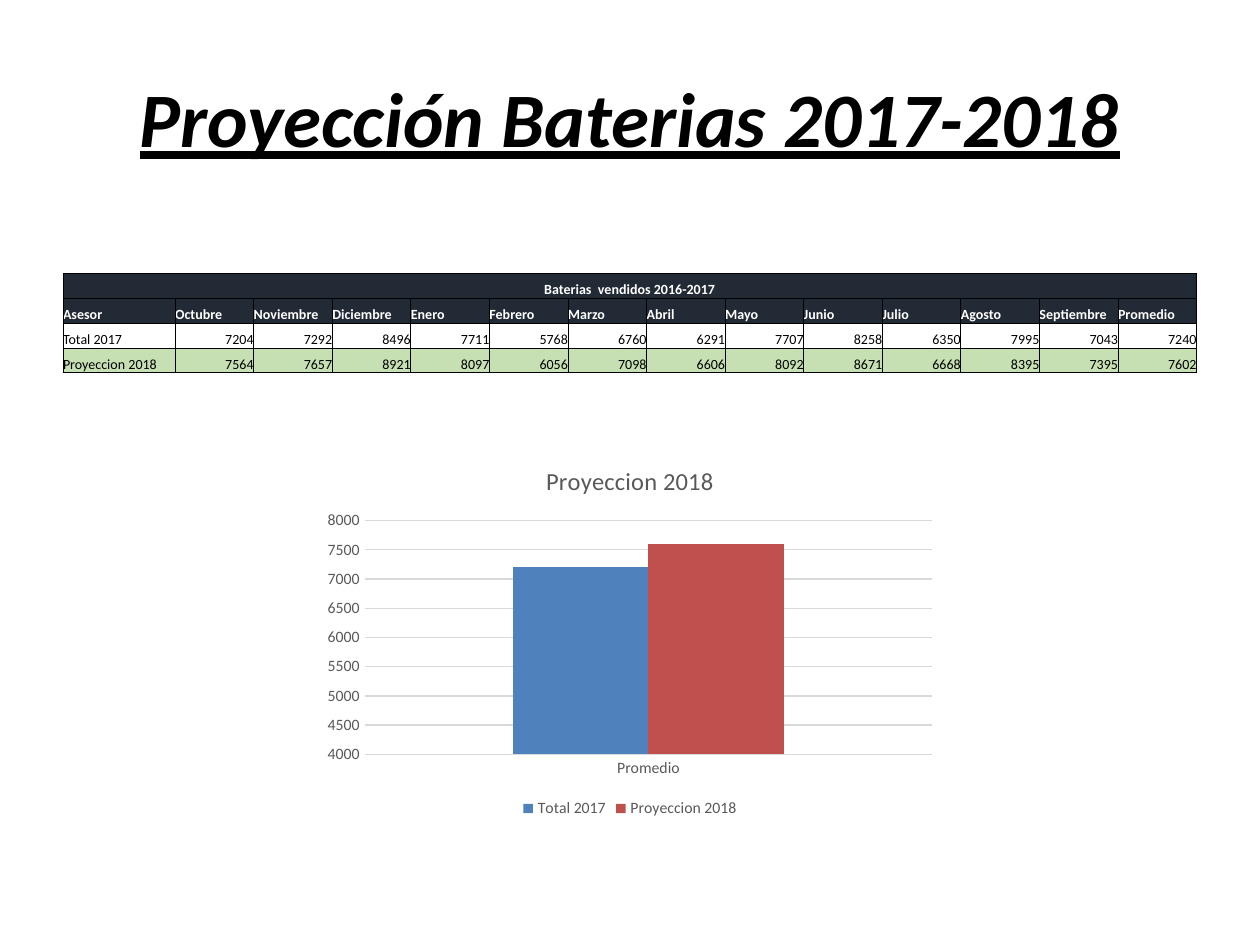
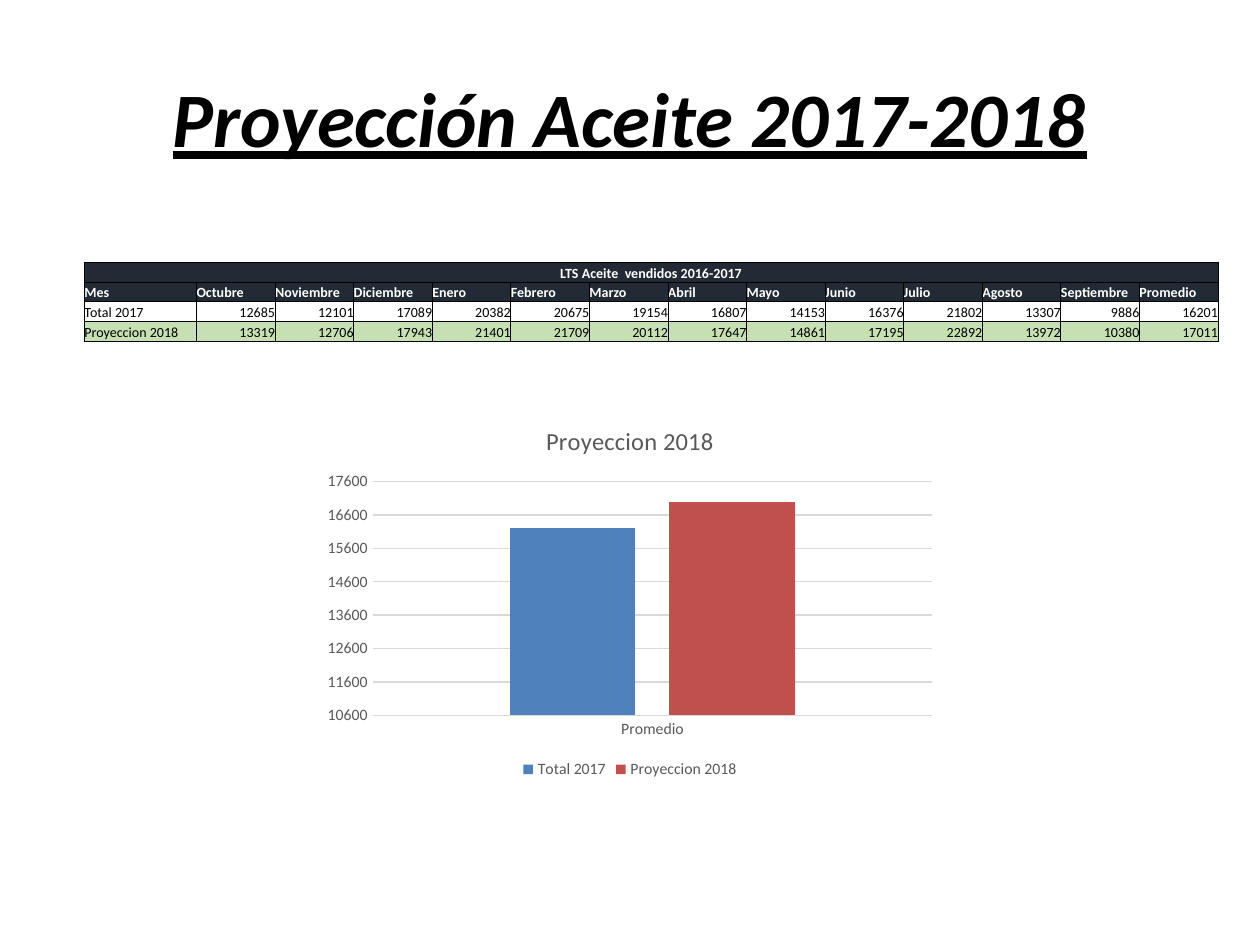
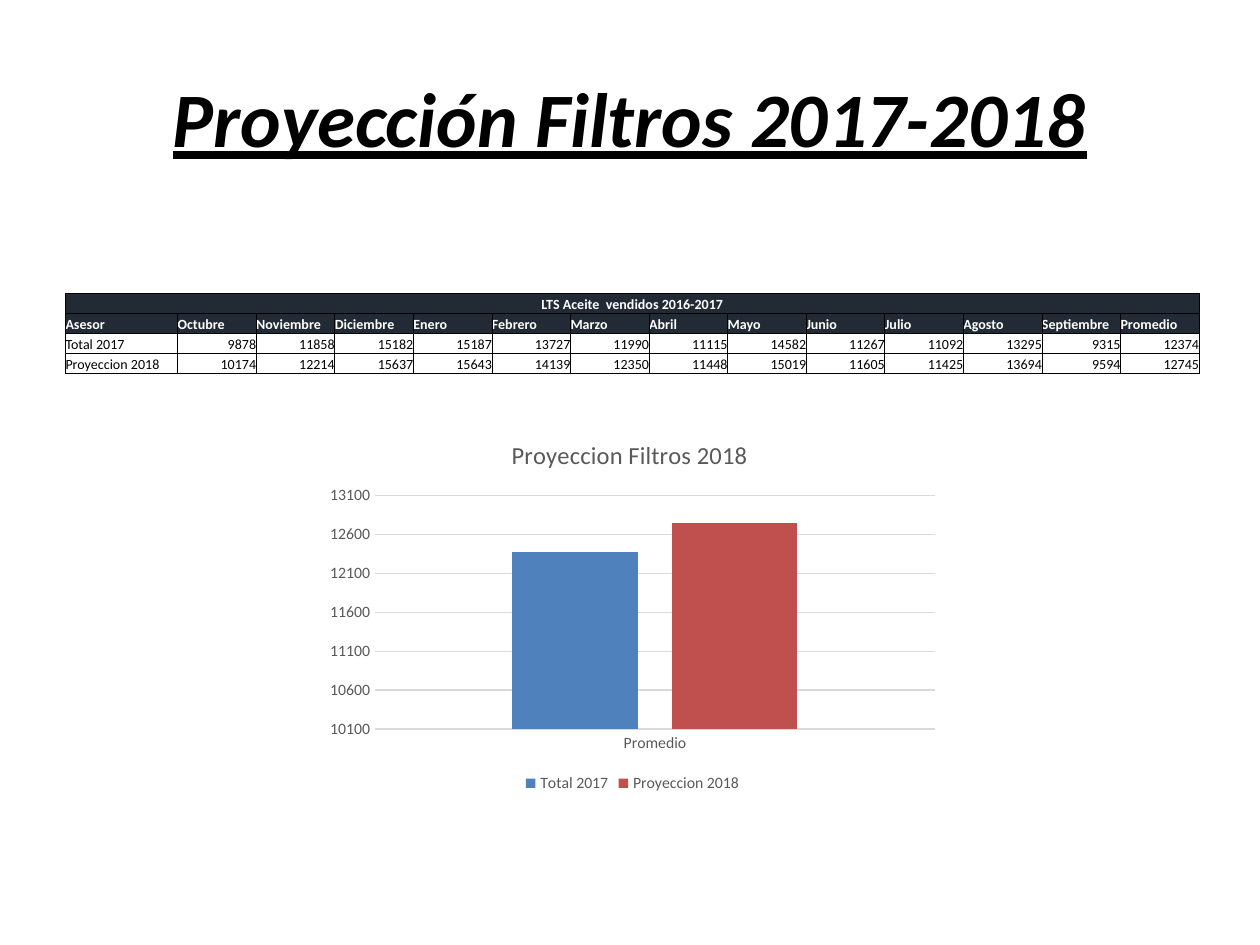
import dataclasses

import lxml.etree
import pptx
import pptx.chart.data
import pptx.dml.color
import pptx.enum.chart
import pptx.enum.text
import pptx.oxml.ns
import pptx.util

Inches = pptx.util.Inches
Pt = pptx.util.Pt
RGB = pptx.dml.color.RGBColor.from_string
ALIGN = pptx.enum.text.PP_ALIGN
qn = pptx.oxml.ns.qn


@dataclasses.dataclass(frozen=True)
class Theme:
    face: str = "Calibri"
    ink: str = "000000"
    paper: str = "FFFFFF"
    head: str = "222B35"
    green: str = "C6E0B4"
    grey: str = "595959"
    grid: str = "D9D9D9"
    bars: tuple = ("4F81BD", "C0504D")
    title: int = 44
    cell: int = 8
    chart: int = 10
    label: int = 9
    caption: int = 14
    edge: float = 0.5
    rule: float = 0.75


THEME = Theme()
MONTHS = ["Octubre", "Noviembre", "Diciembre", "Enero", "Febrero", "Marzo", "Abril",
          "Mayo", "Junio", "Julio", "Agosto", "Septiembre", "Promedio"]
NAMES = ["Total 2017", "Proyeccion 2018"]
FIRST = 0.89  # width of the label column


@dataclasses.dataclass(frozen=True)
class Page:
    title: str
    band: str
    corner: str
    rows: tuple
    mark: str | None  # fill of the projection row
    grid: tuple
    caption: str
    plot: tuple
    means: tuple  # rounded averages for the chart
    low: int
    overlap: int


PAGES = [
    Page("Proyección Baterias 2017-2018", "Baterias  vendidos 2016-2017", "Asesor",
         ([7204, 7292, 8496, 7711, 5768, 6760, 6291, 7707, 8258, 6350, 7995, 7043, 7240],
          [7564, 7657, 8921, 8097, 6056, 7098, 6606, 8092, 8671, 6668, 8395, 7395, 7602]),
         THEME.green, (0.5, 2.17, 9, 0.79),
         "Proyeccion 2018", (2.5, 3.53, 5, 3), (7200, 7600), 4000, 0),
    Page("Proyección Aceite 2017-2018", "LTS Aceite  vendidos 2016-2017", "Mes",
         ([12685, 12101, 17089, 20382, 20675, 19154, 16807,
           14153, 16376, 21802, 13307, 9886, 16201],
          [13319, 12706, 17943, 21401, 21709, 20112, 17647,
           14861, 17195, 22892, 13972, 10380, 17011]),
         THEME.green, (0.67, 2.08, 9, 0.63),
         "Proyeccion 2018", (2.5, 3.22, 5, 3), (16200, 17000), 10600, -27),
    Page("Proyección Filtros 2017-2018", "LTS Aceite  vendidos 2016-2017", "Asesor",
         ([9878, 11858, 15182, 15187, 13727, 11990, 11115,
           14582, 11267, 11092, 13295, 9315, 12374],
          [10174, 12214, 15637, 15643, 14139, 12350, 11448,
           15019, 11605, 11425, 13694, 9594, 12745]),
         None, (0.52, 2.33, 9, 0.63),
         "Proyeccion Filtros 2018 ", (2.52, 3.33, 5, 3), (12370, 12750), 10100, -27),
]


def assign(item, values):
    for name, value in values.items():
        setattr(item, name, value)


def style(font, size, color, **extra):
    assign(font, {"name": THEME.face, "size": Pt(size), **extra})
    font.color.rgb = RGB(color)


def border(cell):
    props = cell._tc.get_or_add_tcPr()
    for side in ("a:lnL", "a:lnR", "a:lnT", "a:lnB"):
        line = lxml.etree.SubElement(props, qn(side), w=str(Pt(THEME.edge)))
        fill = lxml.etree.SubElement(line, qn("a:solidFill"))
        lxml.etree.SubElement(fill, qn("a:srgbClr"), val=THEME.ink)


def paint(cell, text, fill, color, bold, align):
    border(cell)
    if fill:
        cell.fill.solid()
        cell.fill.fore_color.rgb = RGB(fill)
    else:
        cell.fill.background()
    assign(cell, {"margin_left": 0, "margin_right": 0, "margin_top": 0, "margin_bottom": 0,
                  "vertical_anchor": pptx.enum.text.MSO_ANCHOR.BOTTOM, "text": text})
    para = cell.text_frame.paragraphs[0]
    para.alignment = align
    style(para.font, THEME.cell, color, bold=bold)


def add_title(slide, text, box):
    title = slide.shapes.title
    assign(title, dict(zip(("left", "top", "width", "height"), map(Inches, box))))
    title.text_frame.text = text
    title.text_frame.vertical_anchor = pptx.enum.text.MSO_ANCHOR.MIDDLE
    para = title.text_frame.paragraphs[0]
    para.alignment = ALIGN.CENTER
    style(para.runs[0].font, THEME.title, THEME.ink, bold=True, italic=True, underline=True)


def add_grid(slide, page, box):
    lines = [[page.band] + [""] * len(MONTHS), [page.corner] + MONTHS]
    lines += [[name] + row for name, row in zip(NAMES, page.rows)]
    fills = [THEME.head, THEME.head, None, page.mark]
    count = len(MONTHS) + 1
    table = slide.shapes.add_table(len(lines), count, *map(Inches, box)).table
    assign(table, {"first_row": False, "horz_banding": False})
    for col, column in enumerate(table.columns):
        column.width = Inches((box[2] - FIRST) / len(MONTHS) if col else FIRST)
    for row, (line, fill) in enumerate(zip(lines, fills)):
        table.rows[row].height = Inches(box[3] / len(lines))
        head = row < 2
        for col, value in enumerate(line):
            align = ALIGN.CENTER if row == 0 else ALIGN.LEFT if head or col == 0 else ALIGN.RIGHT
            paint(table.cell(row, col), str(value), fill,
                  THEME.paper if head else THEME.ink, head, align)
    table.cell(0, 0).merge(table.cell(0, count - 1))


def rule(line):
    line.color.rgb = RGB(THEME.grid)
    line.width = Pt(THEME.rule)


def add_plot(slide, page, box):
    """Chart the averages of the two years."""
    data = pptx.chart.data.CategoryChartData(number_format="0")
    data.categories = MONTHS[-1:]
    for name, mean in zip(NAMES, page.means):
        data.add_series(name, [mean])
    kind = pptx.enum.chart.XL_CHART_TYPE.COLUMN_CLUSTERED
    chart = slide.shapes.add_chart(kind, *map(Inches, box), data).chart
    style(chart.font, THEME.chart, THEME.ink)
    assign(chart, {"has_title": True, "has_legend": True})
    chart.chart_title.text_frame.text = page.caption
    run = chart.chart_title.text_frame.paragraphs[0].runs[0]
    style(run.font, THEME.caption, THEME.grey, bold=False)
    assign(chart.legend, {"position": pptx.enum.chart.XL_LEGEND_POSITION.BOTTOM,
                          "include_in_layout": False})
    style(chart.legend.font, THEME.label, THEME.grey)

    none = pptx.enum.chart.XL_TICK_MARK.NONE
    for axis in (chart.category_axis, chart.value_axis):
        assign(axis, {"major_tick_mark": none, "minor_tick_mark": none})
        style(axis.tick_labels.font, THEME.label, THEME.grey)
    rule(chart.category_axis.format.line)
    scale = chart.value_axis
    assign(scale, {"minimum_scale": page.low, "has_major_gridlines": True})
    assign(scale.tick_labels, {"number_format": "0", "number_format_is_linked": False})
    rule(scale.major_gridlines.format.line)
    scale.format.line.fill.background()

    plot = chart.plots[0]
    assign(plot, {"gap_width": 219, "overlap": page.overlap, "vary_by_categories": False})
    for bar, color in zip(plot.series, THEME.bars):
        bar.format.fill.solid()
        bar.format.fill.fore_color.rgb = RGB(color)


def main():
    deck = pptx.Presentation()
    assign(deck, {"slide_width": Inches(10), "slide_height": Inches(7.5)})
    layout = deck.slide_layouts.get_by_name("Title Only")
    for page in PAGES:
        slide = deck.slides.add_slide(layout)
        add_title(slide, page.title, (0.5, 0.3, 9, 1.25))
        add_grid(slide, page, page.grid)
        add_plot(slide, page, page.plot)
    deck.save("out.pptx")


if __name__ == "__main__":
    main()
